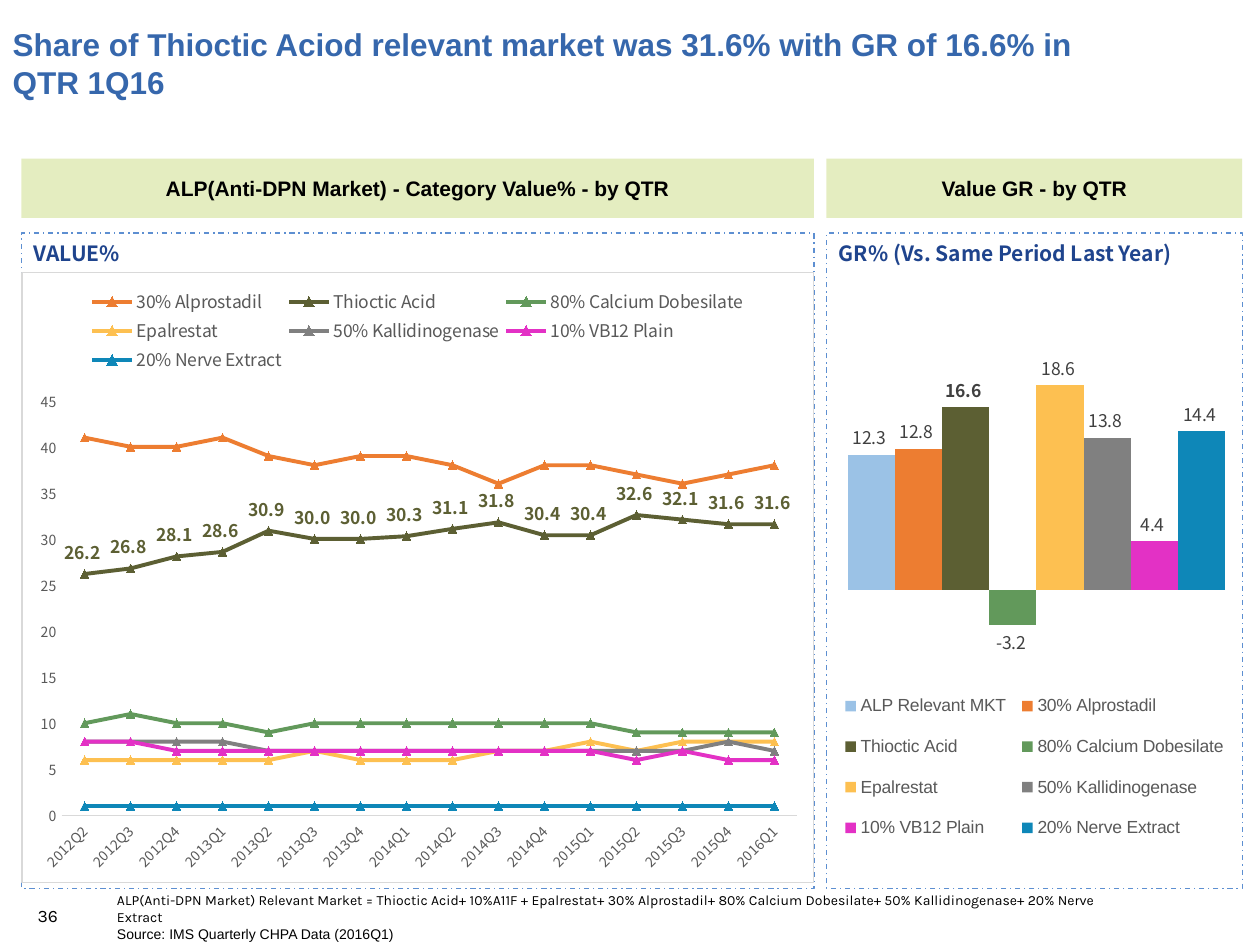
from lxml import etree
from pptx import Presentation
from pptx.chart.data import CategoryChartData
from pptx.dml.color import RGBColor
from pptx.enum.chart import (XL_CHART_TYPE, XL_LABEL_POSITION as LabelPosition,
                             XL_LEGEND_POSITION as LegendPosition,
                             XL_MARKER_STYLE, XL_TICK_MARK)
from pptx.enum.dml import MSO_LINE
from pptx.enum.shapes import MSO_SHAPE
from pptx.enum.text import MSO_ANCHOR, PP_ALIGN
from pptx.oxml import parse_xml
from pptx.oxml.ns import nsdecls, qn
from pptx.util import Inches, Pt

BLACK = RGBColor(0x00, 0x00, 0x00)
TITLE_BLUE = RGBColor(0x36, 0x67, 0xAC)
HEADING_BLUE = RGBColor(0x1F, 0x44, 0x8D)
FRAME_BLUE = RGBColor(0x5D, 0x8F, 0xD1)
BANNER_GREEN = RGBColor(0xBD, 0xD2, 0x62)
AXIS_GREY = RGBColor(0x59, 0x59, 0x59)
LABEL_GREY = RGBColor(0x40, 0x40, 0x40)
OLIVE = RGBColor(0x5C, 0x5F, 0x33)
RULE_GREY = RGBColor(0xD9, 0xD9, 0xD9)
SERIES_COLORS = {
    "ALP Relevant MKT": RGBColor(0x9B, 0xC2, 0xE6),
    "30% Alprostadil": RGBColor(0xED, 0x7D, 0x31),
    "Thioctic Acid": OLIVE,
    "80% Calcium Dobesilate": RGBColor(0x62, 0x99, 0x5B),
    "Epalrestat": RGBColor(0xFD, 0xC0, 0x51),
    "50% Kallidinogenase": RGBColor(0x80, 0x80, 0x80),
    "10% VB12 Plain": RGBColor(0xE3, 0x31, 0xC5),
    "20% Nerve Extract": RGBColor(0x0E, 0x87, 0xB8),
}
HIGHLIGHT = "Thioctic Acid"
SANS, CHART_FONT, NOTE_FONT = "Arial", "Noto Sans CJK SC", "Karla"
LABEL_FORMAT = "#,##0.0_ "

QUARTERS = [f"{year}Q{quarter}" for year in range(2012, 2017)
            for quarter in range(1, 5)][1:17]
VALUE_SHARES = {
    "30% Alprostadil": [41, 40, 40, 41, 39, 38, 39, 39, 38, 36, 38, 38, 37, 36, 37, 38],
    "Thioctic Acid": [26.2, 26.8, 28.1, 28.6, 30.9, 30, 30, 30.3,
                      31.1, 31.8, 30.4, 30.4, 32.6, 32.1, 31.6, 31.6],
    "80% Calcium Dobesilate": [10, 11, 10, 10, 9, 10, 10, 10, 10, 10, 10, 10, 9, 9, 9, 9],
    "Epalrestat": [6, 6, 6, 6, 6, 7, 6, 6, 6, 7, 7, 8, 7, 8, 8, 8],
    "50% Kallidinogenase": [8, 8, 8, 8, 7, 7, 7, 7, 7, 7, 7, 7, 7, 7, 8, 7],
    "10% VB12 Plain": [8, 8, 7, 7, 7, 7, 7, 7, 7, 7, 7, 7, 6, 7, 6, 6],
    "20% Nerve Extract": [1] * 16,
}
GROWTH_RATES = dict(zip(SERIES_COLORS, [[12.3], [12.8], [16.6], [-3.2],
                                        [18.6], [13.8], [4.4], [14.4]]))


def style_font(font, size, color, name, bold=False):
    font.size, font.name, font.bold = Pt(size), name, bold
    font.color.rgb = color


def write(shape, text, size, color, name, bold=False, anchor=MSO_ANCHOR.MIDDLE,
          align=PP_ALIGN.LEFT, wrap=True):
    frame = shape.text_frame
    frame.text = text
    frame.word_wrap, frame.vertical_anchor = wrap, anchor
    paragraph = frame.paragraphs[0]
    paragraph.alignment, paragraph.space_before = align, Pt(0)
    style_font(paragraph.runs[0].font, size, color, name, bold)


def add_text(slide, box, *style, **options):
    write(slide.shapes.add_textbox(*map(Inches, box)), *style, **options)


def add_rectangle(slide, box):
    shape = slide.shapes.add_shape(MSO_SHAPE.RECTANGLE, *map(Inches, box))
    shape.shadow.inherit = False
    return shape


def add_panel(slide, left, width, banner_text, heading):
    """Green banner above a dash-dotted frame with a heading."""
    banner = add_rectangle(slide, (left, 1.26, width, 0.47))
    banner.fill.solid()
    banner.fill.fore_color.rgb = BANNER_GREEN
    color = next(banner.fill._xPr.iter(qn("a:srgbClr")))
    etree.SubElement(color, qn("a:alpha")).set("val", "40000")
    banner.line.fill.background()
    write(banner, banner_text, 12, BLACK, SANS, bold=True,
          align=PP_ALIGN.CENTER, wrap=False)

    add_text(slide, (left, 1.86, width, 0.3), heading, 12, HEADING_BLUE,
             CHART_FONT, bold=True, anchor=MSO_ANCHOR.TOP)
    frame = add_rectangle(slide, (left, 1.85, width, 5.2))
    frame.fill.background()
    frame.line.color.rgb, frame.line.width = FRAME_BLUE, Pt(0.75)
    frame.line.dash_style = MSO_LINE.DASH_DOT


def layout_xml(x, y, width, height, inner=False):
    target = '<c:layoutTarget val="inner"/>' if inner else ""
    return parse_xml(
        f'<c:layout {nsdecls("c")}><c:manualLayout>{target}'
        '<c:xMode val="edge"/><c:yMode val="edge"/>'
        f'<c:x val="{x}"/><c:y val="{y}"/><c:w val="{width}"/><c:h val="{height}"/>'
        '</c:manualLayout></c:layout>')


def place_plot(chart, *fractions):
    plot_area = chart._chartSpace.chart.plotArea
    for old in plot_area.findall(qn("c:layout")):
        plot_area.remove(old)
    plot_area.insert(0, layout_xml(*fractions, inner=True))


def place_legend(chart, position, font_name, *fractions):
    chart.has_legend = True
    legend = chart.legend
    legend.position, legend.include_in_layout = position, False
    style_font(legend.font, 10, AXIS_GREY, font_name)
    element = legend._element
    for old in element.findall(qn("c:layout")):
        element.remove(old)
    element.find(qn("c:legendPos")).addnext(layout_xml(*fractions))


def add_chart(slide, box, chart_type, categories, series_values):
    data = CategoryChartData()
    data.categories = categories
    for name, values in series_values.items():
        data.add_series(name, values)
    chart = slide.shapes.add_chart(chart_type, *map(Inches, box), data).chart
    chart.has_title = False
    style_font(chart.font, 10, BLACK, CHART_FONT)
    chart.plots[0].vary_by_categories = False
    chart.value_axis.has_major_gridlines = False
    return chart


def label_series(series, position, color, bold):
    labels = series.data_labels
    labels.show_value, labels.position = True, position
    labels.number_format, labels.number_format_is_linked = LABEL_FORMAT, False
    style_font(labels.font, 10, color, CHART_FONT, bold)


def add_share_chart(slide, box):
    chart = add_chart(slide, box, XL_CHART_TYPE.LINE_MARKERS, QUARTERS, VALUE_SHARES)
    for series in chart.plots[0].series:
        color = SERIES_COLORS[series.name]
        series.smooth = False
        series.format.line.color.rgb, series.format.line.width = color, Pt(2.25)
        marker = series.marker
        marker.style, marker.size = XL_MARKER_STYLE.TRIANGLE, 5
        marker.format.fill.solid()
        marker.format.fill.fore_color.rgb = color
        marker.format.line.color.rgb = color
        if series.name == HIGHLIGHT:
            label_series(series, LabelPosition.ABOVE, OLIVE, True)
    for axis in (chart.category_axis, chart.value_axis):
        axis.major_tick_mark = axis.minor_tick_mark = XL_TICK_MARK.NONE
        style_font(axis.tick_labels.font, 8, AXIS_GREY, CHART_FONT)
    line = chart.category_axis.format.line
    line.color.rgb, line.width = RULE_GREY, Pt(0.75)
    next(chart.category_axis._element.iter(qn("a:bodyPr"))).set("rot", "-2700000")
    values = chart.value_axis
    values.minimum_scale, values.maximum_scale, values.major_unit = 0, 45, 5
    values.tick_labels.number_format = "#,##0"
    values.tick_labels.number_format_is_linked = False
    values.format.line.fill.background()
    place_plot(chart, 0.05, 0.21, 0.93, 0.68)
    place_legend(chart, LegendPosition.TOP, CHART_FONT, 0.08, 0.02, 0.84, 0.15)
    chart._chartSpace.chart.addnext(parse_xml(
        f'<c:spPr {nsdecls("c", "a")}><a:noFill/><a:ln w="{Pt(0.75)}"><a:solidFill>'
        f'<a:srgbClr val="{RULE_GREY}"/></a:solidFill></a:ln></c:spPr>'))


def add_growth_chart(slide, box):
    chart = add_chart(slide, box, XL_CHART_TYPE.COLUMN_CLUSTERED, ["1"], GROWTH_RATES)
    plot = chart.plots[0]
    plot.gap_width, plot.overlap = 1, 0
    for series in plot.series:
        series.invert_if_negative = False
        series.format.fill.solid()
        series.format.fill.fore_color.rgb = SERIES_COLORS[series.name]
        label_series(series, LabelPosition.OUTSIDE_END, LABEL_GREY,
                     series.name == HIGHLIGHT)
    chart.value_axis.minimum_scale, chart.value_axis.maximum_scale = -5, 20
    chart.category_axis.visible = chart.value_axis.visible = False
    place_plot(chart, 0.05, 0.16, 0.91, 0.45)
    place_legend(chart, LegendPosition.BOTTOM, SANS, 0.02, 0.66, 0.96, 0.3)


def add_title(slide, box, text):
    title = slide.shapes.title
    title.left, title.top, title.width, title.height = map(Inches, box)
    write(title, text, 18, TITLE_BLUE, SANS, bold=True)


def add_footer(slide):
    add_text(slide, (0.2, 7.13, 0.63, 0.27), "36", 10, BLACK, NOTE_FONT)
    add_text(slide, (0.83, 7.12, 8.32, 0.18),
             "ALP(Anti-DPN Market) Relevant Market = Thioctic Acid+ 10%A11F + "
             "Epalrestat+ 30% Alprostadil+ 80% Calcium Dobesilate+ "
             "50% Kallidinogenase+ 20% Nerve Extract", 8, BLACK, NOTE_FONT)
    add_text(slide, (0.83, 7.3, 8.32, 0.24), "Source: IMS Quarterly CHPA Data (2016Q1)",
             8, BLACK, SANS, anchor=MSO_ANCHOR.TOP)


def main():
    presentation = Presentation()
    presentation.slide_width, presentation.slide_height = Inches(10), Inches(7.5)
    slide = presentation.slides.add_slide(presentation.slide_layouts[5])
    add_title(slide, (0, 0, 8.91, 1), "Share of Thioctic Aciod relevant market was "
              "31.6% with GR of 16.6% in QTR 1Q16")
    add_panel(slide, 0.17, 6.29, "ALP(Anti-DPN Market) - Category Value% - by QTR", "VALUE%")
    add_panel(slide, 6.56, 3.3, "Value GR - by QTR", "GR% (Vs. Same Period Last Year)")
    add_footer(slide)
    add_growth_chart(slide, (6.56, 2.16, 3.3, 4.85))
    add_share_chart(slide, (0.17, 2.16, 6.29, 4.85))
    presentation.save("out.pptx")


if __name__ == "__main__":
    main()
